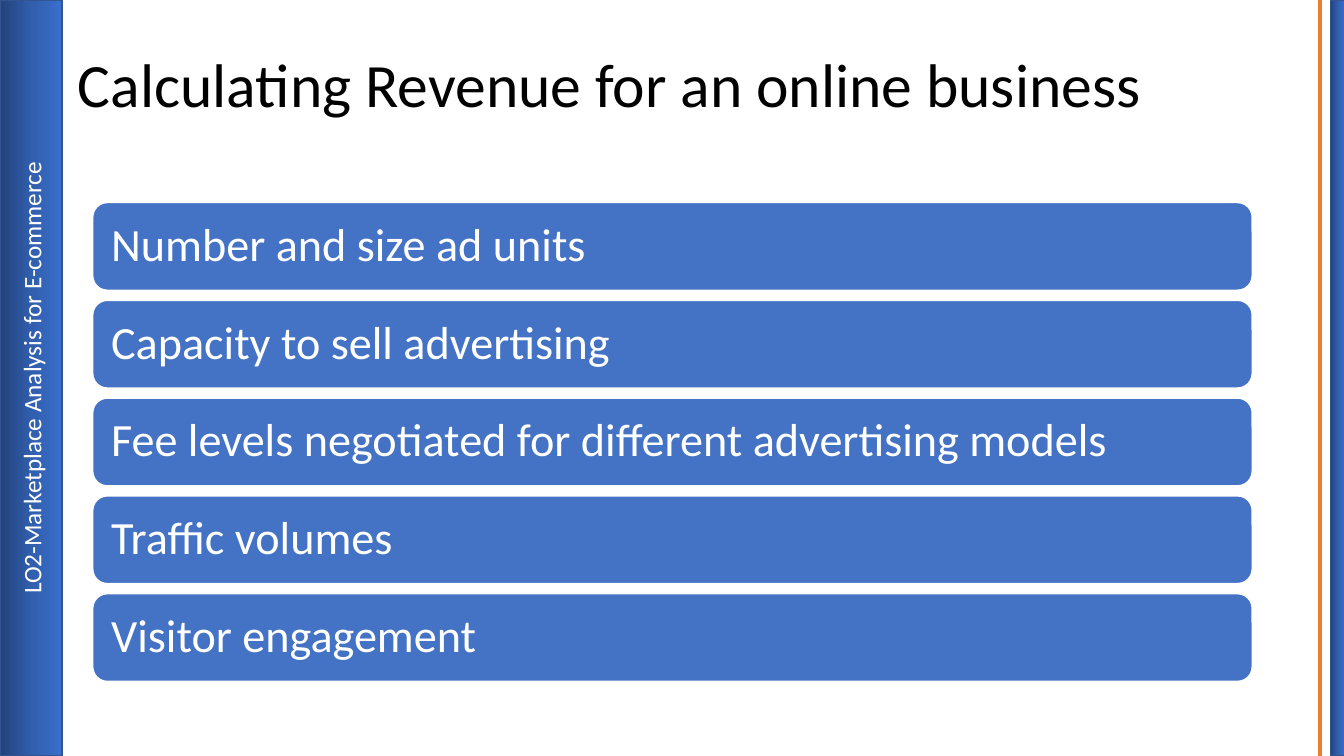
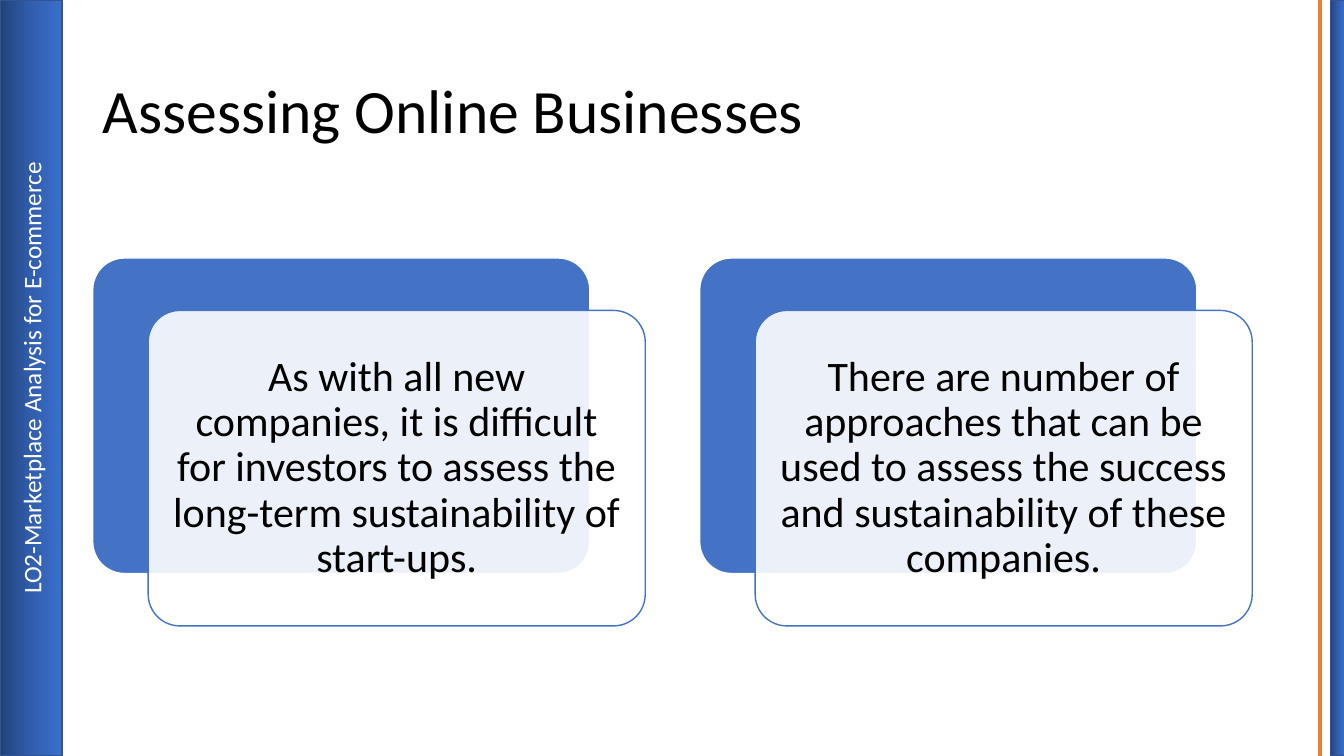
from copy import deepcopy

from lxml.etree import SubElement
from pptx import Presentation
from pptx.dml.color import RGBColor
from pptx.enum.shapes import MSO_CONNECTOR, MSO_SHAPE
from pptx.enum.text import MSO_ANCHOR, MSO_AUTO_SIZE, PP_ALIGN
from pptx.oxml.ns import qn
from pptx.util import Inches, Pt

COLORS = {
    "white": "FFFFFF",
    "black": "000000",
    "blue": "4472C4",
    "orange": "ED7D31",
    "band_edge": "325491",
    "band_dark": "23427A",
    "band_mid": "315EAD",
    "band_light": "3A6FCE",
}
FONT = "Calibri"
SLIDE_W, SLIDE_H = 13.33, 7.5
MODULE = "LO2-Marketplace Analysis for E-commerce"


def rgb(name):
    return RGBColor.from_string(COLORS[name])


def write(tf, text, size=18, color="black", align=PP_ALIGN.LEFT,
          spacing=0.9, inset=None):
    tf.word_wrap = True
    tf.auto_size = MSO_AUTO_SIZE.NONE
    tf.vertical_anchor = MSO_ANCHOR.MIDDLE
    if inset is not None:
        tf.margin_left = tf.margin_right = Inches(inset)
        tf.margin_top = tf.margin_bottom = Inches(inset)
    p = tf.paragraphs[0]
    p.alignment = align
    p.line_spacing = spacing
    r = p.add_run()
    r.text = text
    r.font.name = FONT
    r.font.size = Pt(size)
    r.font.color.rgb = rgb(color)


def add_box(slide, box, shape=MSO_SHAPE.ROUNDED_RECTANGLE, fill="blue",
            line="white", alpha=None):
    s = slide.shapes.add_shape(shape, *map(Inches, box))
    s.shadow.inherit = False
    s.fill.solid()
    s.fill.fore_color.rgb = rgb(fill)
    s.line.color.rgb = rgb(line)
    s.line.width = Pt(1)
    if alpha is not None:
        color = s._element.spPr.find(qn("a:solidFill"))[0]
        SubElement(color, qn("a:alpha")).set("val", str(alpha * 1000))
    return s


def add_band(slide, center_x, thickness):
    box = (center_x - SLIDE_H / 2, (SLIDE_H - thickness) / 2, SLIDE_H, thickness)
    s = add_box(slide, box, MSO_SHAPE.RECTANGLE, line="band_edge")
    s.rotation = 270
    s.fill.gradient()
    s.fill.gradient_angle = 270
    stop_list = s._element.xpath(".//a:gsLst")[0]
    stop_list.insert(1, deepcopy(stop_list[0]))
    names = ("band_dark", "band_mid", "band_light")
    for i, (stop, name) in enumerate(zip(s.fill.gradient_stops, names)):
        stop.position = i / 2
        stop.color.rgb = rgb(name)
    return s


def add_frame(slide):
    rule = slide.shapes.add_connector(
        MSO_CONNECTOR.STRAIGHT, Inches(13.09), 0, Inches(13.09), Inches(SLIDE_H))
    rule.line.color.rgb = rgb("orange")
    rule.line.width = Pt(3)
    SubElement(rule._element.spPr, qn("a:effectLst"))
    right = add_band(slide, 13.27, 0.15)
    left = add_band(slide, 0.31, 0.61)
    write(left.text_frame, MODULE, color="white", align=PP_ALIGN.CENTER, spacing=1)
    return [rule, right, left]


def move_to_layout(shapes, layout):
    tree = layout.shapes._spTree
    for i, s in enumerate(shapes):
        s._element.xpath(".//p:cNvPr")[0].set("id", str(100 + i))
        tree.append(s._element)


def add_title(slide, text, box, align=PP_ALIGN.LEFT):
    title = slide.shapes.title
    title.left, title.top, title.width, title.height = map(Inches, box)
    write(title.text_frame, text, size=44, align=align)


def add_bars(slide, box, items, gap=0.1):
    x, y, w, h = box
    bar_h = (h - gap * (len(items) - 1)) / len(items)
    for i, item in enumerate(items):
        s = add_box(slide, (x, y + i * (bar_h + gap), w, bar_h))
        write(s.text_frame, item, size=33, color="white", inset=0.14)


def add_cards(slide, box, items, gap=0.54, dx=0.55, dy=0.52):
    x, y, w, h = box
    pitch = (w + gap) / len(items)
    card_w, card_h = pitch - gap - dx, h - dy
    for i, item in enumerate(items):
        left = x + i * pitch
        back = add_box(slide, (left, y, card_w, card_h))
        front = add_box(slide, (left + dx, y + dy, card_w, card_h),
                        fill="white", line="blue", alpha=90)
        for s in (back, front):
            s.adjustments[0] = 0.1
        write(front.text_frame, item, size=30, align=PP_ALIGN.CENTER, inset=0.12)


def main():
    prs = Presentation()
    prs.slide_width, prs.slide_height = Inches(SLIDE_W), Inches(SLIDE_H)
    layout = prs.slide_layouts[5]

    revenue = prs.slides.add_slide(layout)
    move_to_layout(add_frame(revenue), layout)
    add_title(revenue, "Calculating Revenue for an online business",
              (0.56, 0.14, 10.98, 1.45), PP_ALIGN.CENTER)
    add_bars(revenue, (0.92, 2.01, 11.5, 4.75), [
        "Number and size ad units",
        "Capacity to sell advertising",
        "Fee levels negotiated for different advertising models",
        "Traffic volumes",
        "Visitor engagement",
    ])

    assessing = prs.slides.add_slide(layout)
    add_title(assessing, "Assessing Online Businesses", (0.92, 0.4, 11.5, 1.45))
    add_cards(assessing, (0.92, 2.56, 11.5, 3.65), [
        "As with all new companies, it is difficult for investors to assess "
        "the long-term sustainability of start-ups.",
        "There are number of approaches that can be used to assess the success "
        "and sustainability of these companies.",
    ])

    prs.save("out.pptx")


if __name__ == "__main__":
    main()
